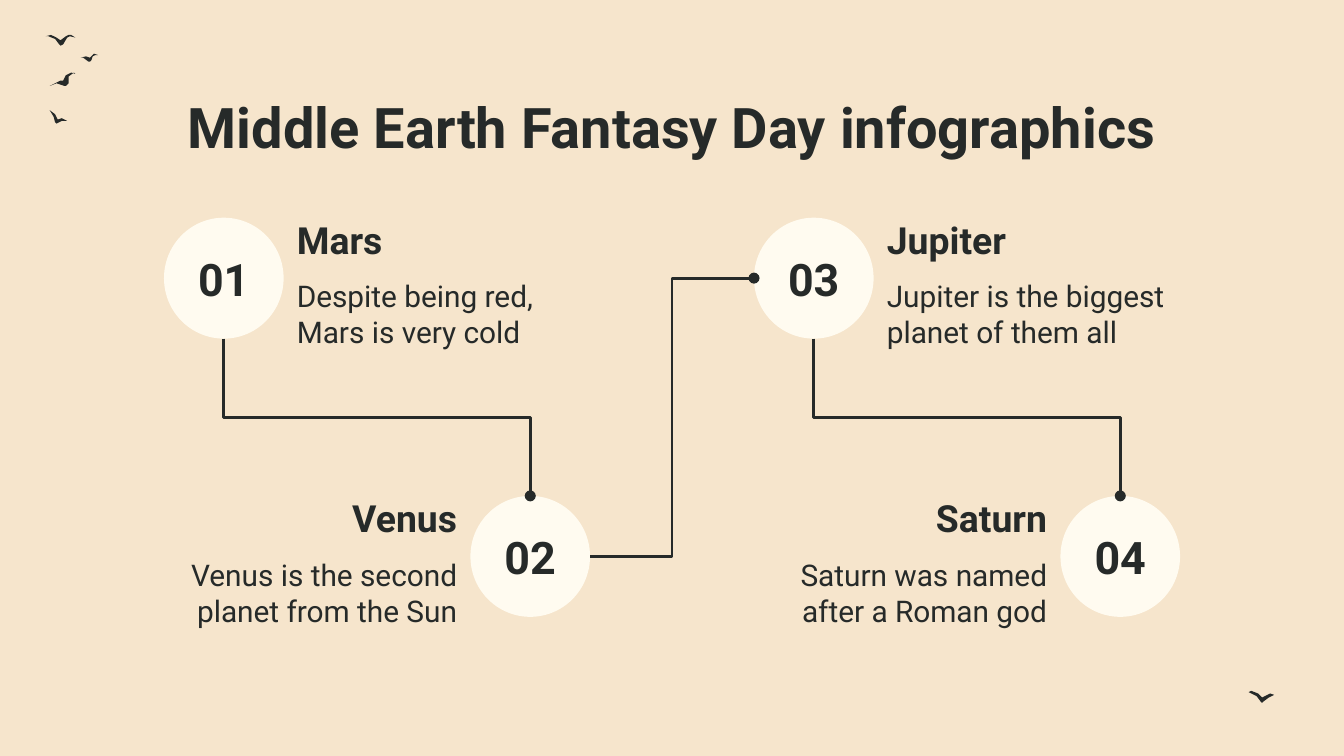
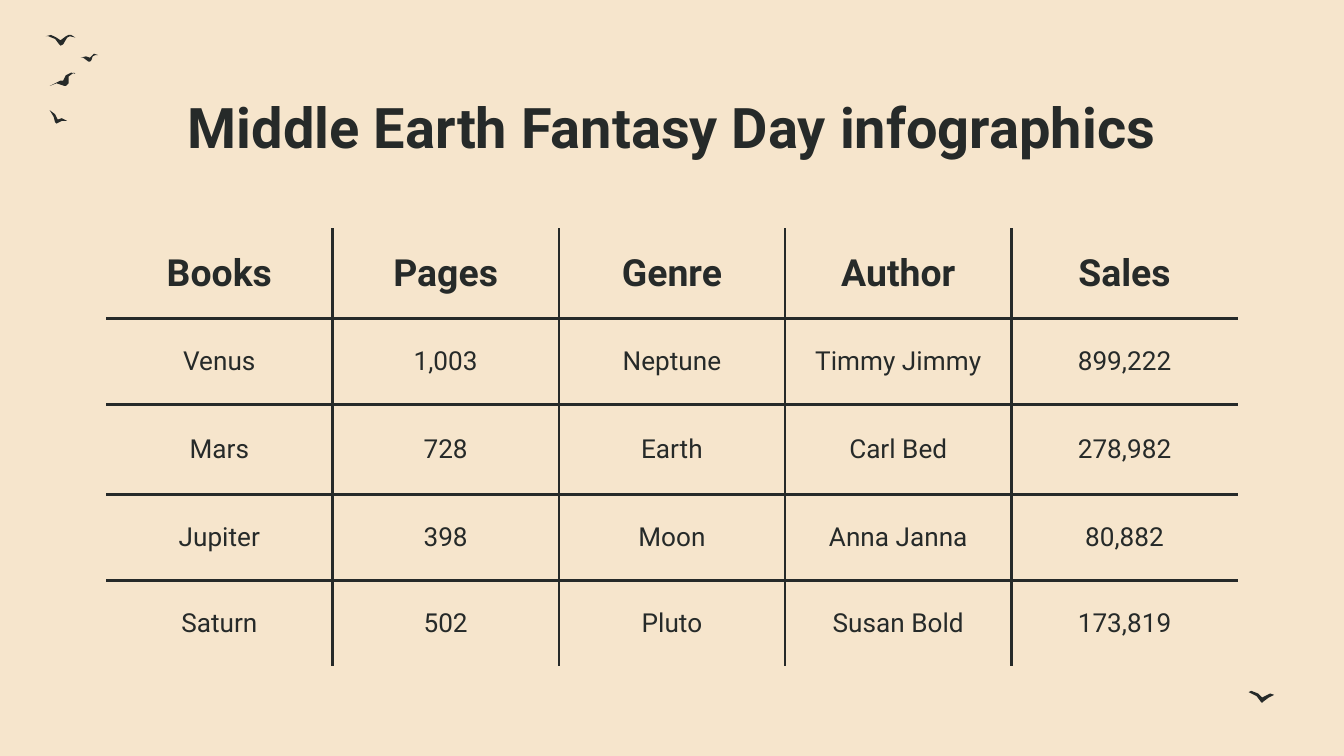
from pptx import Presentation
from pptx.dml.color import RGBColor
from pptx.enum.shapes import MSO_CONNECTOR, MSO_SHAPE
from pptx.enum.text import MSO_ANCHOR, PP_ALIGN
from pptx.oxml.ns import qn
from pptx.util import Inches, Pt
from lxml import etree

ELBOW = MSO_CONNECTOR.ELBOW
OVAL = MSO_SHAPE.OVAL
TOP, MIDDLE, BOTTOM = MSO_ANCHOR.TOP, MSO_ANCHOR.MIDDLE, MSO_ANCHOR.BOTTOM
LEFT, CENTER, RIGHT = PP_ALIGN.LEFT, PP_ALIGN.CENTER, PP_ALIGN.RIGHT

FONT = "Roboto"
SAND, INK, CREAM = "F6E5CC", "262A29", "FFFBF0"
LINE_WIDTH = Pt(1.5)
TITLE = "Middle Earth Fantasy Day infographics"

# Bird outlines in hundredths of an inch on the slide
BIRDS = [
    [(51, 26), (49, 27), (45, 30), (42, 28), (38, 26), (34, 27), (36, 27), (41, 29),
     (44, 33), (45, 34), (47, 33), (50, 28), (52, 27), (56, 28), (53, 26)],
    [(53, 54), (49, 56), (47, 60), (45, 60), (37, 64), (42, 62), (48, 64), (49, 64),
     (51, 62), (51, 57), (55, 54), (56, 55)],
    [(37, 82), (40, 87), (41, 91), (42, 92), (46, 90), (50, 90), (46, 88), (43, 89),
     (41, 85)],
    [(70, 40), (69, 41), (67, 43), (64, 42), (60, 43), (62, 43), (66, 46), (67, 46),
     (68, 45), (69, 42), (71, 41), (73, 41)],
    [(931, 514), (929, 515), (935, 518), (938, 522), (939, 523), (940, 522), (944, 519),
     (948, 517), (945, 516), (943, 517), (939, 519), (936, 516)],
]

PLANETS = [
    ("Mars", "Despite being red, Mars is very cold"),
    ("Venus", "Venus is the second planet from the Sun"),
    ("Jupiter", "Jupiter is the biggest planet of them all"),
    ("Saturn", "Saturn was named after a Roman god"),
]
CIRCLE_WIDTH, CIRCLE_HEIGHT = 0.89, 0.9
TEXT_WIDTH = 2.39
FIRST_LEFT, PAIR_STEP, LOWER_SHIFT = 1.22, 4.39, 2.28
UPPER_TOP, LOWER_TOP = 1.62, 3.69

BOOKS = [
    ("Books", "Pages", "Genre", "Author", "Sales"),
    ("Venus", "1,003", "Neptune", "Timmy Jimmy", "899,222"),
    ("Mars", "728", "Earth", "Carl Bed", "278,982"),
    ("Jupiter", "398", "Moon", "Anna Janna", "80,882"),
    ("Saturn", "502", "Pluto", "Susan Bold", "173,819"),
]
ROW_HEIGHTS = [0.67, 0.64, 0.67, 0.64, 0.64]
TABLE_LEFT, TABLE_TOP, TABLE_WIDTH = 0.79, 1.7, 8.42


def color(value):
    return RGBColor.from_string(value)


def paint(shape, fill):
    shape.shadow.inherit = False
    shape.fill.solid()
    shape.fill.fore_color.rgb = color(fill)
    shape.line.fill.background()


def write(frame, text, size, bold=False, align=LEFT):
    para = frame.paragraphs[0]
    para.text = text
    para.alignment = align
    para.font.name = FONT
    para.font.size = Pt(size)
    para.font.bold = bold
    para.font.color.rgb = color(INK)


def set_margins(holder):
    """Give a text frame or a table cell the same space on all sides."""
    holder.margin_left = holder.margin_right = Inches(0.1)
    holder.margin_top = holder.margin_bottom = Inches(0.1)


def set_frame(frame, anchor):
    frame.word_wrap = True
    frame.vertical_anchor = anchor
    set_margins(frame)


def add_text(page, area, text, size, bold=False, align=LEFT, anchor=TOP):
    box = page.shapes.add_textbox(*map(Inches, area))
    set_frame(box.text_frame, anchor)
    write(box.text_frame, text, size, bold, align)


def add_page(deck):
    """Add a slide with the shared background, birds and title."""
    page = deck.slides.add_slide(deck.slide_layouts[6])
    page.background.fill.solid()
    page.background.fill.fore_color.rgb = color(SAND)
    for start, *others in BIRDS:
        outline = page.shapes.build_freeform(*start, scale=Inches(0.01))
        outline.add_line_segments(others)
        paint(outline.convert_to_shape(), INK)
    add_text(page, (0.79, 0.59, 8.42, 0.63), TITLE, 30, True, CENTER)
    return page


def add_elbow(page, begin, end, vertical=False):
    """Link two points, leaving the first one sideways or, if vertical, downwards."""
    (x1, y1), (x2, y2) = begin, end
    if vertical:
        # The box is laid on its side about its centre, then turned by 270 degrees.
        middle_x, middle_y = (x1 + x2) / 2, (y1 + y2) / 2
        half_width, half_height = (y2 - y1) / 2, (x2 - x1) / 2
        x1, x2 = middle_x + half_width, middle_x - half_width
        y1, y2 = middle_y - half_height, middle_y + half_height
    link = page.shapes.add_connector(ELBOW, *map(Inches, (x1, y1, x2, y2)))
    link.line.color.rgb = color(INK)
    link.line.width = LINE_WIDTH
    properties = link._element.spPr
    if vertical:
        properties.find(qn("a:xfrm")).set("rot", str(270 * 60000))
    etree.SubElement(properties.find(qn("a:ln")), qn("a:tailEnd"), type="oval")
    etree.SubElement(properties, qn("a:effectLst"))


def add_planet(page, index, left, top):
    name, fact = PLANETS[index]
    lower = index % 2 == 1
    text_left = left - TEXT_WIDTH if lower else left + CIRCLE_WIDTH
    align = RIGHT if lower else LEFT
    add_text(page, (text_left, top - 0.07, TEXT_WIDTH, 0.5), name, 20, True, align, BOTTOM)
    add_text(page, (text_left, top + 0.35, TEXT_WIDTH, 0.63), fact, 16, False, align)
    circle = page.shapes.add_shape(
        OVAL, *map(Inches, (left, top, CIRCLE_WIDTH, CIRCLE_HEIGHT)))
    paint(circle, CREAM)
    set_frame(circle.text_frame, MIDDLE)
    write(circle.text_frame, f"{index + 1:02}", 24, True, CENTER)


def build_planets(deck):
    page = add_page(deck)
    places = []
    for index in range(len(PLANETS)):
        pair, lower = divmod(index, 2)
        left = FIRST_LEFT + pair * PAIR_STEP + lower * LOWER_SHIFT
        places.append((left, LOWER_TOP if lower else UPPER_TOP))
        add_planet(page, index, *places[-1])
    half_width, half_height = CIRCLE_WIDTH / 2, CIRCLE_HEIGHT / 2
    for index, ((x1, y1), (x2, y2)) in enumerate(zip(places, places[1:])):
        if index % 2 == 0:
            add_elbow(page, (x1 + half_width, y1 + CIRCLE_HEIGHT),
                      (x2 + half_width, y2), vertical=True)
        else:
            add_elbow(page, (x1 + CIRCLE_WIDTH, y1 + half_height), (x2, y2 + half_height))


def set_borders(cell, visible):
    """Draw the sides named in visible (of L, R, T, B) and hide the others."""
    properties = cell._tc.get_or_add_tcPr()
    for side in "LRTB":
        line = etree.SubElement(properties, qn(f"a:ln{side}"), w=str(LINE_WIDTH))
        if side in visible:
            fill = etree.SubElement(line, qn("a:solidFill"))
            etree.SubElement(fill, qn("a:srgbClr"), val=INK)
        else:
            etree.SubElement(line, qn("a:noFill"))


def build_books(deck):
    page = add_page(deck)
    row_count, column_count = len(BOOKS), len(BOOKS[0])
    area = (TABLE_LEFT, TABLE_TOP, TABLE_WIDTH, sum(ROW_HEIGHTS))
    table = page.shapes.add_table(row_count, column_count, *map(Inches, area)).table
    table.first_row = table.horz_banding = False
    for column in table.columns:
        column.width = Inches(TABLE_WIDTH / column_count)
    for r, (values, height) in enumerate(zip(BOOKS, ROW_HEIGHTS)):
        table.rows[r].height = Inches(height)
        header = r == 0
        for c, value in enumerate(values):
            cell = table.cell(r, c)
            inner = {"L": c > 0, "R": c < column_count - 1,
                     "T": r > 0, "B": r < row_count - 1}
            set_borders(cell, [side for side in inner if inner[side]])
            cell.fill.background()
            cell.vertical_anchor = MIDDLE
            set_margins(cell)
            write(cell.text_frame, value, 20 if header else 14, header, CENTER)


def main():
    deck = Presentation()
    deck.slide_width = Inches(10)
    deck.slide_height = deck.slide_width * 9 // 16
    build_planets(deck)
    build_books(deck)
    deck.save("out.pptx")


if __name__ == "__main__":
    main()
